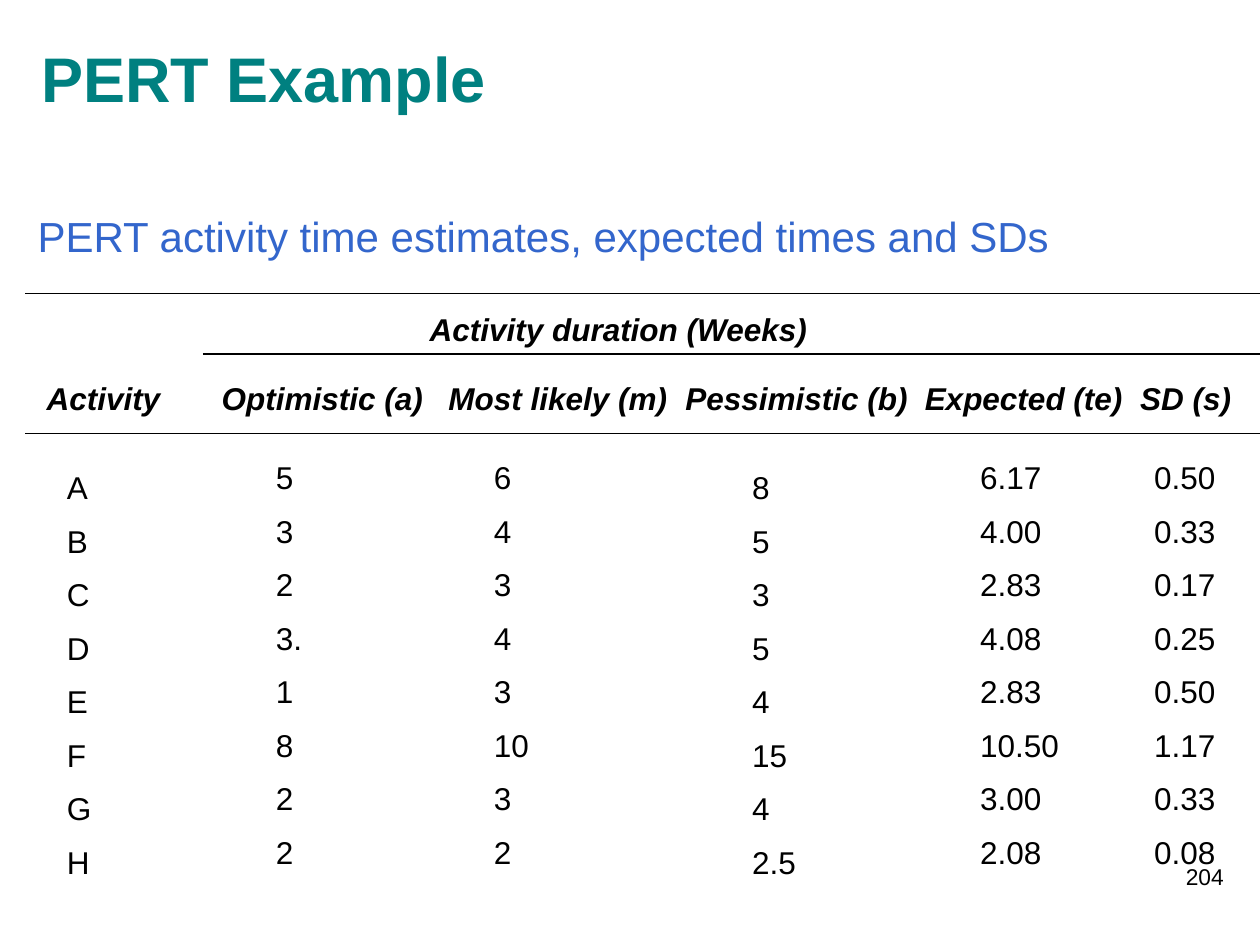
from lxml import etree
from pptx import Presentation
from pptx.dml.color import RGBColor
from pptx.enum.shapes import MSO_CONNECTOR
from pptx.enum.text import MSO_ANCHOR, PP_ALIGN
from pptx.oxml.ns import qn
from pptx.util import Inches, Pt

STRAIGHT = MSO_CONNECTOR.STRAIGHT
LEFT, RIGHT = PP_ALIGN.LEFT, PP_ALIGN.RIGHT
TOP, MIDDLE, BOTTOM = MSO_ANCHOR.TOP, MSO_ANCHOR.MIDDLE, MSO_ANCHOR.BOTTOM
TEAL = RGBColor(0x00, 0x80, 0x80)
BLUE = RGBColor(0x33, 0x66, 0xCC)
BLACK = RGBColor(0x00, 0x00, 0x00)
NO_STYLE_NO_GRID = "{2D5ABB26-0587-4C30-8999-92F81FD0307C}"

# Column edges, and the text insets of headings and values, in inches
COLUMN_EDGES = [0.2, 1.61, 3.46, 5.34, 7.24, 8.95, 10]
HEADING_INSETS = [0.17, 0.15, 0.1, 0.1, 0.1, 0.1]
VALUE_INSETS = [0.33, 0.58, 0.46, 0.63, 0.54, 0.21]
LOWERED_COLUMNS = (0, 3)
ROW_HEIGHTS = [0.48, 0.63, 0.6] + [0.425] * 7
TABLE_TOP = 2.33

GROUP_HEADING = "Activity duration (Weeks)"
HEADINGS = ["Activity", "Optimistic (a)", "Most likely (m)",
            "Pessimistic (b)", "Expected (te)", "SD (s)"]
ACTIVITIES = [
    ["A", "5", "6", "8", "6.17", "0.50"],
    ["B", "3", "4", "5", "4.00", "0.33"],
    ["C", "2", "3", "3", "2.83", "0.17"],
    ["D", "3.", "4", "5", "4.08", "0.25"],
    ["E", "1", "3", "4", "2.83", "0.50"],
    ["F", "8", "10", "15", "10.50", "1.17"],
    ["G", "2", "3", "4", "3.00", "0.33"],
    ["H", "2", "2", "2.5", "2.08", "0.08"],
]


def write(text_frame, text, size, color, bold=False, italic=False):
    text_frame.text = text
    font = text_frame.paragraphs[0].font
    font.name, font.size = "Arial", Pt(size)
    font.bold, font.italic = bold, italic
    font.color.rgb = color


presentation = Presentation()
presentation.slide_width, presentation.slide_height = Inches(10), Inches(7.5)
slide = presentation.slides.add_slide(presentation.slide_layouts[6])

# Title, subtitle and page number
for text, box, size, color, bold, anchor, alignment in [
    ("PERT Example", (0.23, 0.15, 8.03, 0.93), 36, TEAL, True, MIDDLE, LEFT),
    ("PERT activity time estimates, expected times and SDs",
     (0.2, 1.62, 9.61, 0.6), 24, BLUE, False, TOP, LEFT),
    ("204", (7.73, 6.8, 2.08, 0.5), 13, BLACK, False, TOP, RIGHT),
]:
    text_frame = slide.shapes.add_textbox(*map(Inches, box)).text_frame
    text_frame.word_wrap = True
    text_frame.vertical_anchor = anchor
    write(text_frame, text, size, color, bold)
    text_frame.paragraphs[0].alignment = alignment

# Table of estimates
rows = [["", GROUP_HEADING, "", "", "", ""], HEADINGS] + ACTIVITIES
table = slide.shapes.add_table(
    len(rows), len(HEADINGS), Inches(COLUMN_EDGES[0]), Inches(TABLE_TOP),
    Inches(COLUMN_EDGES[-1] - COLUMN_EDGES[0]), Inches(sum(ROW_HEIGHTS))).table
table._tbl.tblPr.find(qn("a:tableStyleId")).text = NO_STYLE_NO_GRID
table.horz_banding = table.first_row = False
for column, start, end in zip(table.columns, COLUMN_EDGES, COLUMN_EDGES[1:]):
    column.width = Inches(end - start)
for row, height in zip(table.rows, ROW_HEIGHTS):
    row.height = Inches(height)

for row_index, values in enumerate(rows):
    is_heading = row_index < 2
    for column_index, value in enumerate(values):
        cell = table.cell(row_index, column_index)
        cell.fill.background()
        cell.vertical_anchor = BOTTOM
        cell.margin_top = cell.margin_right = 0
        if row_index == 0:
            inset, gap_below = 1.8, 0.05
        elif is_heading:
            inset, gap_below = HEADING_INSETS[column_index], 0.13
        else:
            inset = VALUE_INSETS[column_index]
            gap_below = 0.02 if column_index in LOWERED_COLUMNS else 0.1
        cell.margin_left, cell.margin_bottom = Inches(inset), Inches(gap_below)
        write(cell.text_frame, value, 18, BLACK, is_heading, is_heading)
table.cell(0, 1).merge(table.cell(0, len(HEADINGS) - 1))
table.cell(0, 0).margin_left = 0

# Rules above, between and below the two heading rows
for start_column, rows_above in [(0, 0), (1, 1), (0, 2)]:
    y = Inches(TABLE_TOP + sum(ROW_HEIGHTS[:rows_above]))
    rule = slide.shapes.add_connector(
        STRAIGHT, Inches(COLUMN_EDGES[start_column]), y,
        Inches(COLUMN_EDGES[-1]), y)
    rule.line.color.rgb = BLACK
    rule.line.width = Pt(0.75)
    etree.SubElement(rule._element.spPr, qn("a:effectLst"))

presentation.save("out.pptx")
